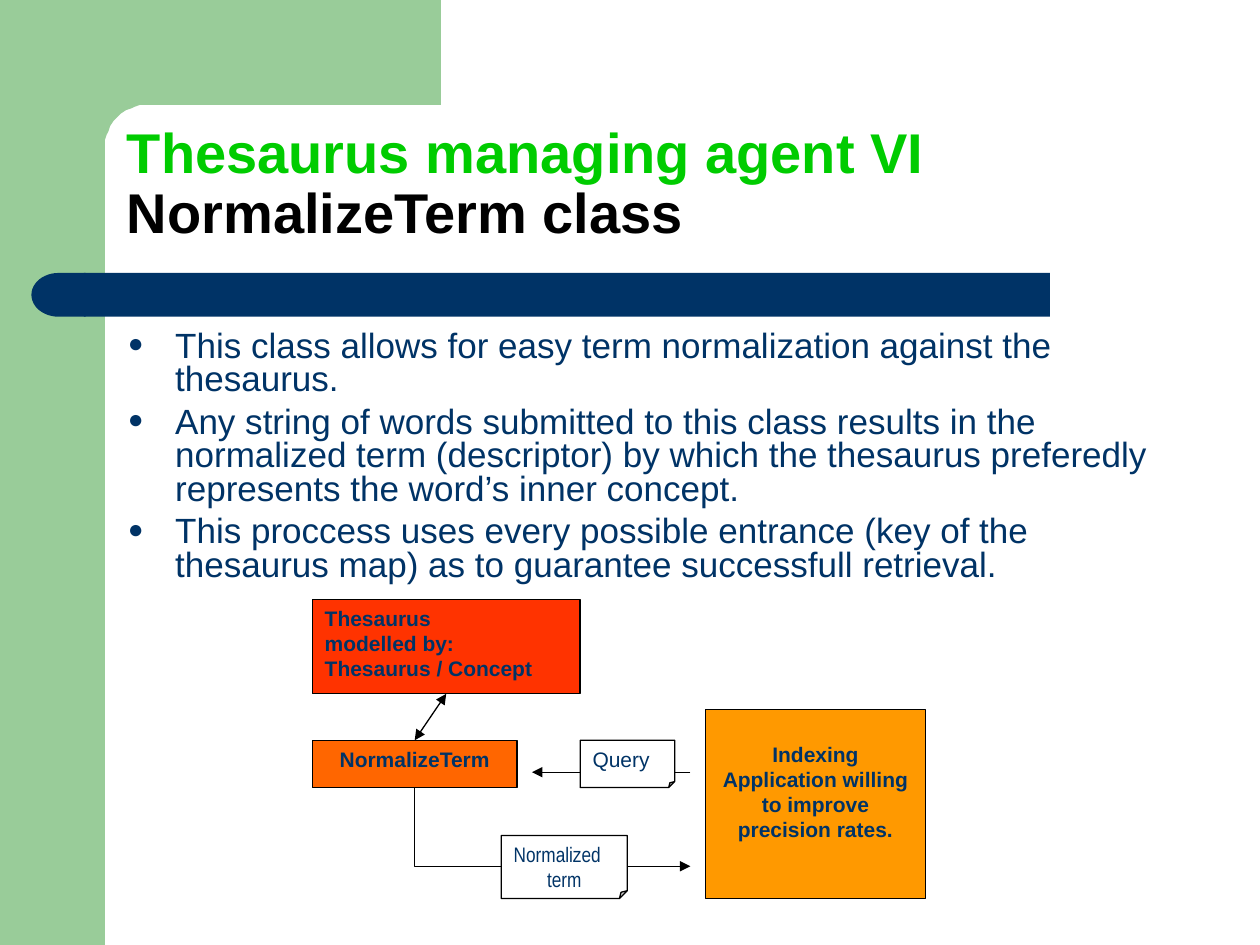
"""Build the slide on the NormalizeTerm class of the thesaurus agent."""
from math import cos, pi, sin

from lxml import etree
from pptx import Presentation
from pptx import util as u
from pptx.dml.color import RGBColor
from pptx.enum import shapes, text
from pptx.oxml import ns

Pt = u.Pt
Kind = shapes.MSO_SHAPE
Wire = shapes.MSO_CONNECTOR
Side = text.PP_ALIGN
HUE = {"leaf": "99CC99", "navy": "003366", "lime": "00CC00", "black": "000000",
       "red": "FF3300", "rust": "FF6600", "amber": "FF9900", "white": "FFFFFF"}


def paint(shape, hue, edge=None):
    shape.shadow.inherit = False
    shape.fill.solid()
    shape.fill.fore_color.rgb = RGBColor.from_string(HUE[hue])
    if edge:
        shape.line.color.rgb = RGBColor.from_string(HUE[edge])
        shape.line.width = Pt(0.75)
    else:
        shape.line.fill.background()


def write(shape, lines, look, sides=(), gaps=None, anchor=text.MSO_ANCHOR.TOP):
    frame = shape.text_frame
    frame.word_wrap = True
    frame.vertical_anchor = anchor
    for i, line in enumerate(lines):
        para = frame.add_paragraph() if i else frame.paragraphs[0]
        para.text = line
        para.alignment = sides[i] if sides else Side.LEFT
        for key, val in (gaps or {}).items():
            setattr(para, key, val)
        for run in para.runs:
            run.font.color.rgb = RGBColor.from_string(HUE["navy"])
            for key, val in look.items():
                setattr(run.font, key, val)
    return frame


deck = Presentation()
deck.slide_width, deck.slide_height = Pt(720), Pt(540)
page = deck.slides.add_slide(deck.slide_layouts[6])
pool = page.shapes

band = pool.add_shape(Kind.RECTANGLE, 0, 0, Pt(60), Pt(540))
paint(band, "leaf")

turns = [pi / 2 * n / 12 for n in range(13)]
curve = [(83.5 - 23.5 * sin(t), 83.5 - 23.5 * cos(t)) for t in turns]
crest = pool.build_freeform(36, 0, scale=Pt(1))
crest.add_line_segments([(252, 0), (252, 60)] + curve + [(60, 92), (36, 92)])
paint(crest.convert_to_shape(), "leaf")

bar = pool.add_shape(Kind.RECTANGLE, Pt(48), Pt(156), Pt(552), Pt(25))
paint(bar, "navy")
cap = pool.add_shape(Kind.FLOWCHART_DELAY, Pt(18), Pt(156), Pt(31), Pt(25))
paint(cap, "navy")
cap._element.spPr.xfrm.set("flipH", "1")

title = pool.add_textbox(Pt(65.5), Pt(65.5), Pt(612.5), Pt(78.5))
head = write(title, ["Thesaurus managing agent VI\vNormalizeTerm class"],
             {"size": Pt(32), "bold": True, "name": "Arial"},
             gaps={"line_spacing": 0.9}, anchor=text.MSO_ANCHOR.BOTTOM)
for run, hue in zip(head.paragraphs[0].runs, ("lime", "black")):
    run.font.color.rgb = RGBColor.from_string(HUE[hue])

body = pool.add_textbox(Pt(66), Pt(185.75), Pt(605.5), Pt(163.5))
points = [
    "This class allows for easy term normalization against the thesaurus.",
    "Any string of words submitted to this class results in the normalized term "
    "(descriptor) by which the thesaurus preferedly represents the word’s inner concept.",
    "This proccess uses every possible entrance (key of the thesaurus map) "
    "as to guarantee successfull retrieval.",
]
roster = write(body, points, {"size": Pt(20), "name": "Arial"},
               gaps={"line_spacing": 0.8, "space_before": Pt(5)})
for para in roster.paragraphs:
    prop = para._p.get_or_add_pPr()
    prop.set("marL", str(Pt(27)))
    prop.set("indent", str(-Pt(27)))
    tint = etree.SubElement(prop, ns.qn("a:buClr"))
    etree.SubElement(tint, ns.qn("a:srgbClr"), val=HUE["navy"])
    etree.SubElement(prop, ns.qn("a:buSzPct"), val="75000")
    etree.SubElement(prop, ns.qn("a:buFont"), typeface="Arial")
    etree.SubElement(prop, ns.qn("a:buChar"), char="●")

bold = {"size": Pt(12), "name": "Arial", "bold": True}
plain = {"size": Pt(12), "name": "Arial", "bold": False}
slim = {**plain, "name": "Arial Narrow"}
mid, left = Side.CENTER, Side.LEFT
rect, note = Kind.RECTANGLE, Kind.FOLDED_CORNER
boxes = [
    (rect, (178.5, 423, 117, 27), "rust", ["NormalizeTerm"], bold, [mid]),
    (rect, (178.5, 342.5, 153, 54), "red",
     ["Thesaurus", "modelled by:", "Thesaurus / Concept"], bold, [left] * 3),
    (rect, (403, 405.5, 126, 108), "amber",
     ["Indexing Application willing to improve precision rates."], bold, [mid]),
    (note, (286.5, 477.5, 72, 36), "white", ["Normalized", "term"], slim, [left, mid]),
    (note, (331.5, 423, 54, 27), "white", ["Query"], plain, [left]),
]
wires = [
    (Wire.ELBOW, (338.25, 393.75, 293.25, 551.25), ["tailEnd"]),
    (Wire.STRAIGHT, (394.5, 441.25, 304, 441.25), ["tailEnd"]),
    (Wire.STRAIGHT, (255, 396.5, 237, 423), ["headEnd", "tailEnd"]),
]
for kind, ends, tips in wires:
    wire = pool.add_connector(kind, *map(Pt, ends))
    wire.line.color.rgb = RGBColor.from_string(HUE["black"])
    wire.line.width = Pt(0.75)
    prop = wire._element.spPr
    for tip in tips:
        etree.SubElement(prop.find(ns.qn("a:ln")), ns.qn("a:" + tip), type="triangle")
    etree.SubElement(prop, ns.qn("a:effectLst"))
    if kind == Wire.ELBOW:
        prop.find(ns.qn("a:prstGeom")).set("prst", "bentConnector2")
        prop.xfrm.set("rot", "16200000")

for kind, place, hue, lines, look, sides in boxes:
    box = pool.add_shape(kind, *map(Pt, place))
    paint(box, hue, "black")
    if kind == note:
        fold = box._element.spPr.find(ns.qn("a:prstGeom")).find(ns.qn("a:avLst"))
        etree.SubElement(fold, ns.qn("a:gd"), name="adj", fmla="val 12500")
    frame = write(box, lines, look, sides)
    if hue == "amber":
        frame.margin_top = Pt(18)

deck.save("out.pptx")
